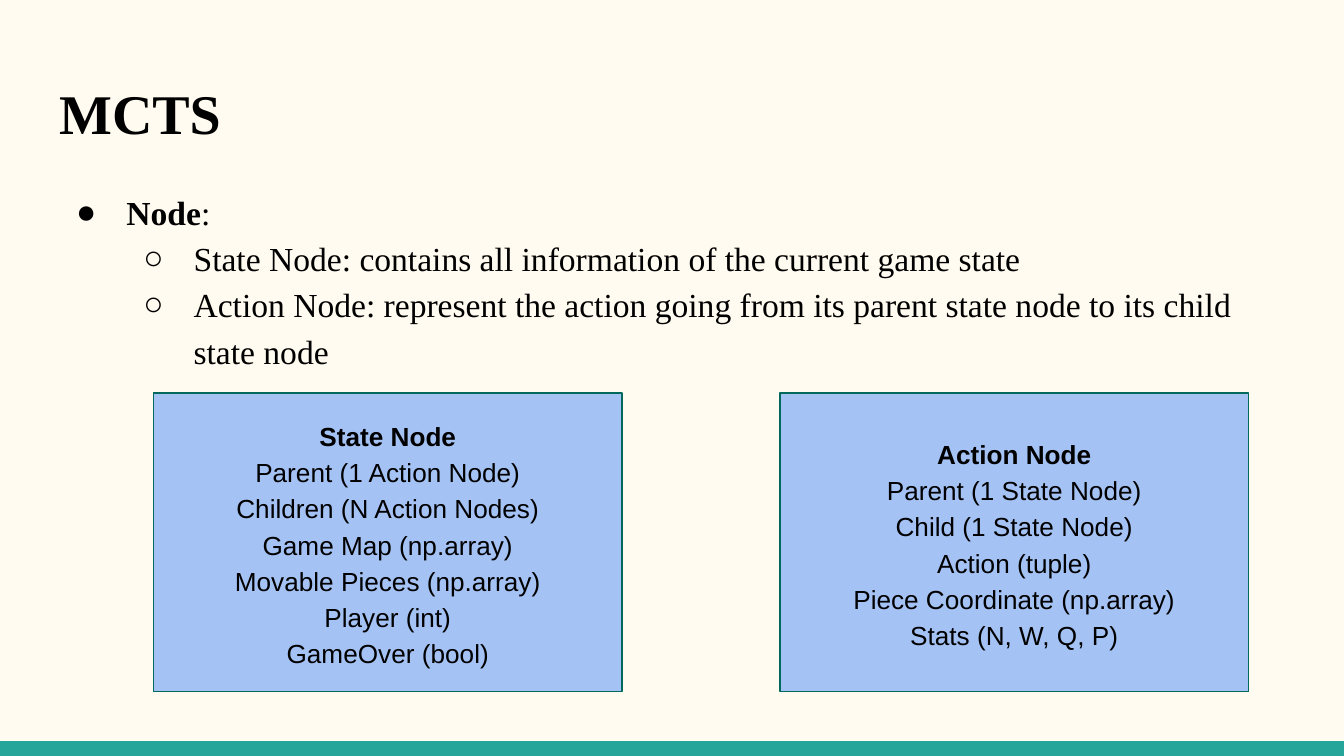
from lxml import etree
from pptx import Presentation
from pptx.dml.color import RGBColor
from pptx.enum.shapes import MSO_SHAPE
from pptx.enum.text import MSO_ANCHOR, PP_ALIGN
from pptx.oxml.ns import qn
from pptx.util import Cm, Pt

RECT = MSO_SHAPE.RECTANGLE
TOP, MIDDLE = MSO_ANCHOR.TOP, MSO_ANCHOR.MIDDLE
LEFT, CENTER = PP_ALIGN.LEFT, PP_ALIGN.CENTER
COLORS = {"paper": "FFFBF0", "teal": "26A69A", "edge": "00695C",
          "blue": "A4C2F4", "ink": "000000"}
SERIF, SANS = "Times New Roman", "Arial"
INSET = Cm(0.25)
BULLETS = "●○"


def color(name):
    return RGBColor.from_string(COLORS[name])


def write(paragraph, text, size=18, font=SERIF, bold=False, align=LEFT, spacing=1.15):
    paragraph.alignment = align
    paragraph.line_spacing = spacing
    run = paragraph.add_run()
    run.text = text
    run.font.size = Pt(size)
    run.font.name = font
    run.font.bold = bold
    run.font.color.rgb = color("ink")


class Deck:
    def __init__(self, width, height):
        self.prs = Presentation()
        self.prs.slide_width, self.prs.slide_height = width, height
        self.slide = self.prs.slides.add_slide(self.prs.slide_layouts[6])
        self.slide.background.fill.solid()
        self.slide.background.fill.fore_color.rgb = color("paper")

    def frame(self, shape, anchor):
        frame = shape.text_frame
        frame.word_wrap = True
        frame.vertical_anchor = anchor
        frame.margin_left = frame.margin_right = INSET
        frame.margin_top = frame.margin_bottom = INSET
        return frame

    def text(self, x, y, w, h):
        box = self.slide.shapes.add_textbox(Cm(x), Cm(y), Cm(w), Cm(h))
        return self.frame(box, TOP)

    def rect(self, x, y, w, h, fill, edge=None):
        shape = self.slide.shapes.add_shape(RECT, Cm(x), Cm(y), Cm(w), Cm(h))
        shape.shadow.inherit = False
        shape.fill.solid()
        shape.fill.fore_color.rgb = color(fill)
        if edge:
            shape.line.color.rgb = color(edge)
            shape.line.width = Pt(0.75)
        else:
            shape.line.fill.background()
        return shape

    def bullet(self, paragraph, level):
        paragraph.level = level
        props = paragraph._p.get_or_add_pPr()
        props.set("marL", str(Cm(1.27 * (level + 1))))
        props.set("indent", str(-Cm(0.95)))
        tint = etree.SubElement(props, qn("a:buClr"))
        etree.SubElement(tint, qn("a:srgbClr"), val=COLORS["ink"])
        etree.SubElement(props, qn("a:buFont"), typeface=SERIF)
        etree.SubElement(props, qn("a:buChar"), char=BULLETS[level])

    def card(self, x, y, w, h, lines):
        frame = self.frame(self.rect(x, y, w, h, "blue", "edge"), MIDDLE)
        for i, line in enumerate(lines):
            paragraph = frame.add_paragraph() if i else frame.paragraphs[0]
            write(paragraph, line, size=14, font=SANS, bold=i == 0, align=CENTER)


deck = Deck(Cm(25.4), Cm(14.29))

# Footer band
deck.rect(0, 14.01, 25.4, 0.28, "teal")

# Title
title = deck.text(0.87, 1.24, 23.67, 1.7)
write(title.paragraphs[0], "MCTS", size=30, bold=True, spacing=1.0)

# Definitions of the node types
body = deck.text(0.87, 3.26, 23.67, 9.45)
outline = [
    (0, [("Node", True), (": ", False)]),
    (1, [("State Node: contains all information of the current game state", False)]),
    (1, [("Action Node: represent the action going from its parent state node "
          "to its child state node", False)]),
]
for i, (level, parts) in enumerate(outline):
    item = body.add_paragraph() if i else body.paragraphs[0]
    for text, bold in parts:
        write(item, text, bold=bold)
    deck.bullet(item, level)

# Fields of each node type
cards = [
    ["State Node", "Parent (1 Action Node)", "Children (N Action Nodes)",
     "Game Map (np.array)", "Movable Pieces (np.array)", "Player (int)",
     "GameOver (bool)"],
    ["Action Node", "Parent (1 State Node)", "Child (1 State Node)",
     "Action (tuple)", "Piece Coordinate (np.array)", "Stats (N, W, Q, P)"],
]
for i, lines in enumerate(cards):
    deck.card(2.9 + 11.84 * i, 7.43, 8.86, 5.64, lines)

deck.prs.save("out.pptx")
